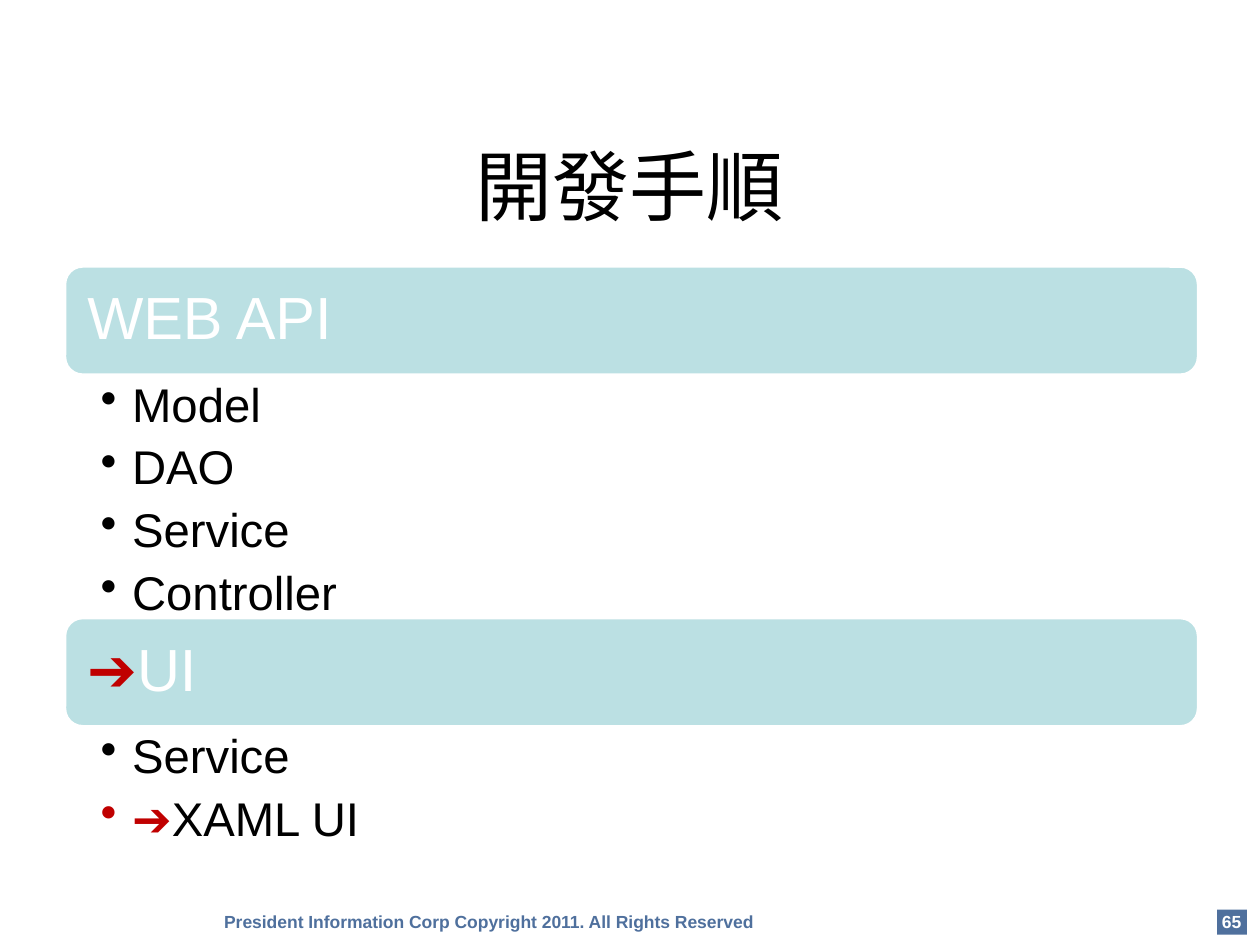
import pptx
import pptx.dml.color
import pptx.enum.shapes
import pptx.enum.text
import pptx.oxml.ns
import pptx.util
from lxml import etree

Pt = pptx.util.Pt
RGBColor = pptx.dml.color.RGBColor
ALIGN = pptx.enum.text.PP_ALIGN
ANCHOR = pptx.enum.text.MSO_ANCHOR
SHAPE = pptx.enum.shapes.MSO_SHAPE

BLACK = RGBColor(0x00, 0x00, 0x00)
WHITE = RGBColor(0xFF, 0xFF, 0xFF)
RED = RGBColor(0xC0, 0x00, 0x00)
BLUE = RGBColor(0x4F, 0x70, 0x9D)
TEAL = RGBColor(0xBB, 0xE0, 0xE3)
ARROW = "➔"

presentation = pptx.Presentation()
presentation.slide_width = Pt(720)
presentation.slide_height = Pt(540)
slide = presentation.slides.add_slide(presentation.slide_layouts[6])


def add_text(box, lines, size, color, margins=(7.2, 3.6, 7.2, 3.6), wrap=True,
             anchor=ANCHOR.TOP, bold=False, bullet=False, paragraph_format=None):
    """Write lines in a new text box; a leading arrow is set in red."""
    frame = slide.shapes.add_textbox(*map(Pt, box)).text_frame
    frame.word_wrap = wrap
    frame.vertical_anchor = anchor
    for side, margin in zip(("left", "top", "right", "bottom"), margins):
        setattr(frame, "margin_" + side, Pt(margin))
    for index, line in enumerate(lines):
        paragraph = frame.add_paragraph() if index else frame.paragraphs[0]
        for name, value in (paragraph_format or {}).items():
            setattr(paragraph, name, value)
        if bullet:
            properties = paragraph._p.get_or_add_pPr()
            properties.set("marL", str(Pt(18)))
            properties.set("indent", str(Pt(-18)))
            etree.SubElement(properties, pptx.oxml.ns.qn("a:buChar"), char="•")
        parts = [(line, color)]
        if line.startswith(ARROW):
            parts = [(ARROW, RED), (line[len(ARROW):], color)]
        for text, part_color in parts:
            run = paragraph.add_run()
            run.text = text
            for name, value in {"name": "Arial", "size": Pt(size), "bold": bold}.items():
                setattr(run.font, name, value)
            run.font.color.rgb = part_color


def add_block(kind, box, fill):
    shape = slide.shapes.add_shape(kind, *map(Pt, box))
    shape.shadow.inherit = False
    shape.fill.solid()
    shape.fill.fore_color.rgb = fill
    shape.line.fill.background()
    return shape


# Footer and page number
add_text((121, 517, 318, 19.4), ["President Information Corp Copyright 2011. All Rights Reserved"],
         10, BLUE, wrap=False, bold=True)
add_block(SHAPE.RECTANGLE, (695.5, 519.8, 17, 14.4), BLUE)
add_text((690.5, 517, 26.6, 19.4), ["65"], 10, WHITE, wrap=False, bold=True,
         paragraph_format={"alignment": ALIGN.CENTER})

# Title
add_text((36, 60.5, 648, 90), ["開發手順"], 44, BLACK, anchor=ANCHOR.MIDDLE,
         paragraph_format={"alignment": ALIGN.CENTER})

# Sections: a header bar followed by its bulleted steps
LEFT, WIDTH, BAR_HEIGHT, INSET = 36.9, 648, 62.4, 3
sections = [
    ("WEB API", ["Model", "DAO", "Service", "Controller"], 138.5),
    (ARROW + "UI", ["Service", ARROW + "XAML UI"], 69),
]
top = 152
for heading, steps, steps_height in sections:
    bar = add_block(SHAPE.ROUNDED_RECTANGLE, (LEFT, top, WIDTH, BAR_HEIGHT), TEAL)
    bar.line.color.rgb = WHITE
    bar.line.width = Pt(2)
    add_text((LEFT + INSET, top + INSET, WIDTH - 2 * INSET, BAR_HEIGHT - 2 * INSET),
             [heading], 34, WHITE, margins=(10, 10, 10, 10), anchor=ANCHOR.MIDDLE,
             paragraph_format={"line_spacing": 0.9})
    top += BAR_HEIGHT
    add_text((LEFT, top, WIDTH, steps_height), steps, 27, BLACK,
             margins=(20.6, 3.6, 18.7, 3.6), bullet=True,
             paragraph_format={"line_spacing": 0.9, "space_after": Pt(6.6)})
    top += steps_height

presentation.save("out.pptx")
